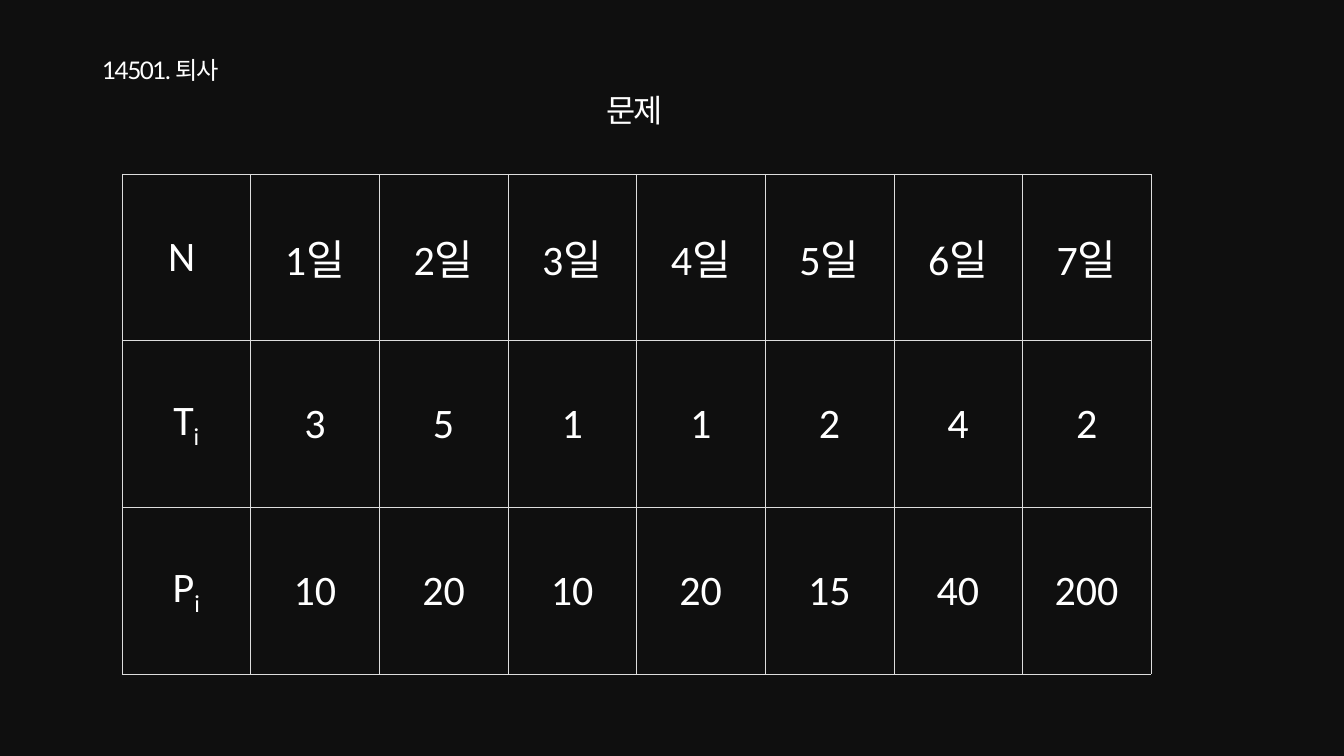
from dataclasses import dataclass

from lxml.etree import SubElement
from pptx import Presentation
from pptx.dml.color import RGBColor
from pptx.enum.text import MSO_ANCHOR, MSO_AUTO_SIZE, PP_ALIGN
from pptx.oxml.ns import qn
from pptx.util import Emu, Pt

EMU_PER_PX = 914400 / 50.4


def px(length):
    return Emu(round(length * EMU_PER_PX))


@dataclass(frozen=True)
class Theme:
    background: RGBColor = RGBColor(0x0F, 0x0F, 0x0F)
    text: RGBColor = RGBColor(0xFF, 0xFF, 0xFF)
    border: str = "DDDDDD"
    border_width: float = 0.6
    title_font: str = "Lato"
    body_font: str = "Calibri"
    title_size: float = 34.7
    heading_size: float = 45.3
    cell_size: float = 60
    title_spacing: float = -2.1
    heading_spacing: float = -2.7
    line_spacing: float = 1.16


class SlideBuilder:
    def __init__(self, slide, theme):
        self.slide = slide
        self.theme = theme
        fill = slide.background.fill
        fill.solid()
        fill.fore_color.rgb = theme.background

    def run(self, paragraph, text, font, size, spacing=0, baseline=0):
        run = paragraph.add_run()
        run.text = text
        run.font.name = font
        run.font.size = Pt(size)
        run.font.bold = False
        run.font.color.rgb = self.theme.text
        properties = run._r.get_or_add_rPr()
        if spacing:
            properties.set("spc", str(round(spacing * 100)))
        if baseline:
            properties.set("baseline", str(baseline * 1000))

    def line(self, shape, text, font, size, spacing, alignment):
        frame = shape.text_frame
        frame.word_wrap = True
        frame.auto_size = MSO_AUTO_SIZE.NONE
        frame.vertical_anchor = MSO_ANCHOR.TOP
        paragraph = frame.paragraphs[0]
        paragraph.alignment = alignment
        paragraph.line_spacing = self.theme.line_spacing
        self.run(paragraph, text, font, size, spacing)

    def title(self, text, left, top, width, height):
        shape = self.slide.shapes.title
        shape.left, shape.top = px(left), px(top)
        shape.width, shape.height = px(width), px(height)
        theme = self.theme
        self.line(shape, text, theme.title_font, theme.title_size,
                  theme.title_spacing, PP_ALIGN.LEFT)

    def heading(self, text, left, top, width, height):
        shape = self.slide.shapes.add_textbox(px(left), px(top), px(width), px(height))
        theme = self.theme
        self.line(shape, text, theme.body_font, theme.heading_size,
                  theme.heading_spacing, PP_ALIGN.CENTER)

    def borders(self, cell):
        properties = cell._tc.get_or_add_tcPr()
        for side in ("lnL", "lnR", "lnT", "lnB"):
            border = SubElement(properties, qn(f"a:{side}"), w=str(Pt(self.theme.border_width)))
            fill = SubElement(border, qn("a:solidFill"))
            SubElement(fill, qn("a:srgbClr"), val=self.theme.border)

    def cell(self, cell, text, subscript=""):
        self.borders(cell)
        cell.fill.background()
        cell.vertical_anchor = MSO_ANCHOR.MIDDLE
        cell.margin_left = cell.margin_right = px(3)
        cell.margin_top = cell.margin_bottom = px(3)
        paragraph = cell.text_frame.paragraphs[0]
        paragraph.alignment = PP_ALIGN.CENTER
        theme = self.theme
        self.run(paragraph, text, theme.body_font, theme.cell_size)
        if subscript:
            self.run(paragraph, subscript, theme.body_font, theme.cell_size, baseline=-25)

    def table(self, rows, left, top, width, height):
        frame = self.slide.shapes.add_table(
            len(rows), len(rows[0]), px(left), px(top), px(width), px(height))
        table = frame.table
        table.first_row = table.horz_banding = False
        for column in table.columns:
            column.width = px(width / len(rows[0]))
        for row in table.rows:
            row.height = px(height / len(rows))
        for row_index, row in enumerate(rows):
            for column_index, parts in enumerate(row):
                self.cell(table.cell(row_index, column_index), *parts)


def main():
    presentation = Presentation()
    presentation.slide_width, presentation.slide_height = px(1344), px(756)
    slide = presentation.slides.add_slide(presentation.slide_layouts[5])
    builder = SlideBuilder(slide, Theme())

    durations = (3, 5, 1, 1, 2, 4, 2)
    payments = (10, 20, 10, 20, 15, 40, 200)
    schedule = [
        [("N\N{NO-BREAK SPACE}",)] + [(f"{day}일",) for day in range(1, len(durations) + 1)],
        [("T", "i")] + [(str(duration),) for duration in durations],
        [("P", "i")] + [(str(payment),) for payment in payments],
    ]

    builder.heading("문제 ", 557, 82, 160, 44)
    builder.title("14501. 퇴사", 97, 48, 1008, 34)
    builder.table(schedule, 122, 174, 1029, 500)
    presentation.save("out.pptx")


if __name__ == "__main__":
    main()
